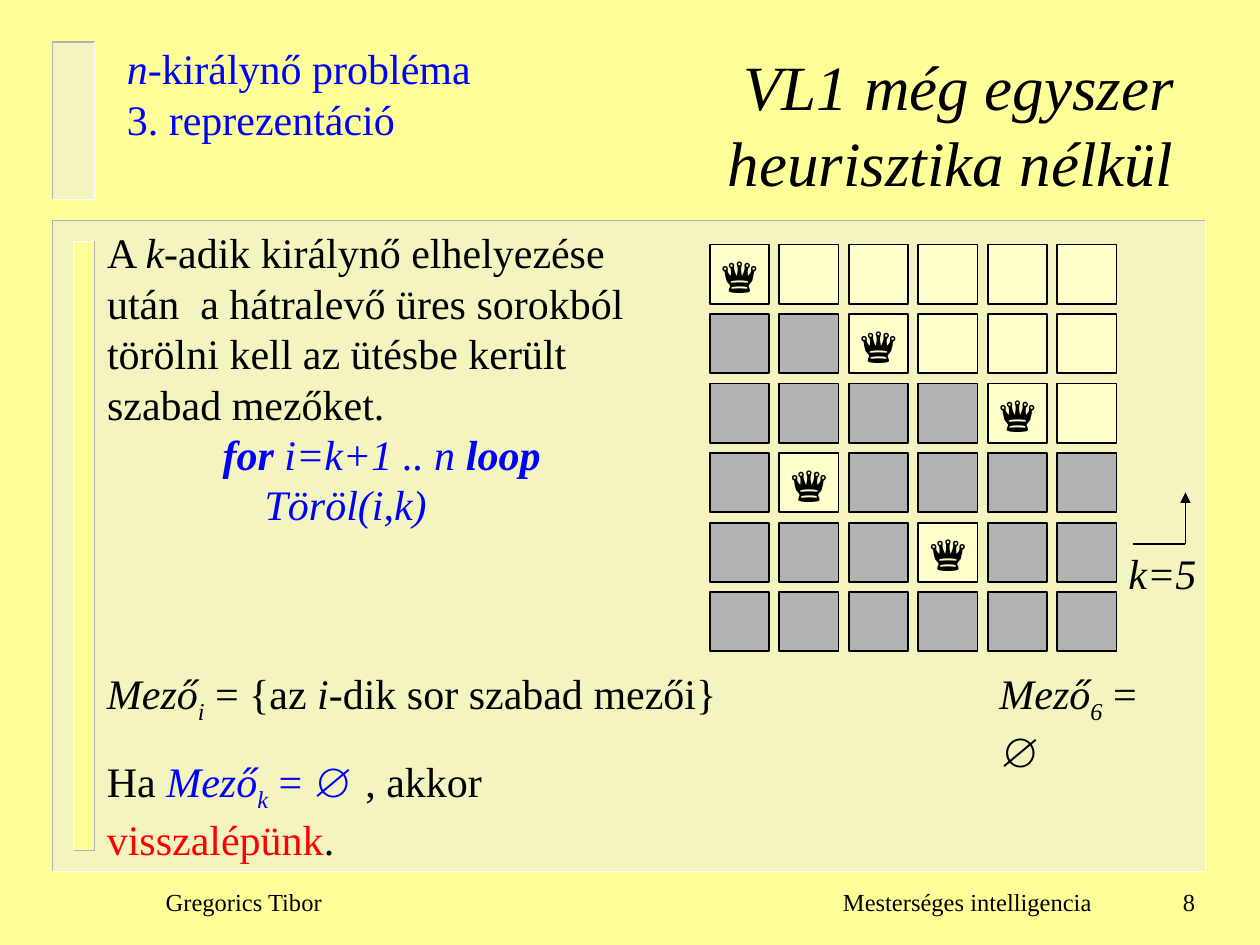
from lxml import etree
from pptx import Presentation
from pptx.dml import color
from pptx.enum import shapes, text
from pptx.oxml import ns
from pptx import util as u

# Page grid: 120 columns by 90 rows, one unit is a twelfth of an inch
UNIT = u.Inches(1) // 12
COLUMNS, ROWS = 120, 90
FONT = "Times New Roman"
COLOURS = {
    "page": "FFFF99", "panel": "EAEAEA", "shade": "B2B2B2", "glow": "FFFFFF",
    "free": "FFFFCC", "struck": "B2B2B2", "black": "000000",
    "blue": "0000FF", "red": "FF0000",
}
STYLES = {
    "plain": {}, "italic": {"italic": True},
    "strong": {"italic": True, "bold": True},
    "sub": {"italic": True},
}
QUEENS = [0, 2, 4, 1, 3]  # column of the queen in each filled row
BOARD_SIZE, BOARD_LEFT, BOARD_TOP = 6, 67.6, 23.3
PITCH, CELL = 6.62, 5.64


def grid(*values):
    return [u.Emu(round(value * UNIT)) for value in values]


def rgb(name):
    return color.RGBColor.from_string(COLOURS[name])


def set_all(target, values):
    for name, value in values.items():
        setattr(target, name, value)


def write(box, lines, size=24, align="LEFT", anchor="TOP", wrap=True):
    """Fill a box with lines of (indent, spans); a span is text, style, colour."""
    frame = box.text_frame
    set_all(frame, {"word_wrap": wrap, "auto_size": text.MSO_AUTO_SIZE.NONE,
                    "vertical_anchor": text.MSO_ANCHOR[anchor]})
    for number, (indent, spans) in enumerate(lines):
        para = frame.add_paragraph() if number else frame.paragraphs[0]
        set_all(para, {"alignment": text.PP_ALIGN[align],
                       "space_before": u.Pt(0)})
        properties = para._p.get_or_add_pPr()
        properties.set("marL", str(grid(indent)[0]))
        properties.set("indent", "0")
        etree.SubElement(properties, ns.qn("a:buNone"))
        for words, style, colour in spans:
            span = para.add_run()
            span.text = words
            set_all(span.font, {"name": FONT, "size": u.Pt(size),
                                "bold": False, "italic": False})
            set_all(span.font, STYLES[style])
            span.font.color.rgb = rgb(colour)
            if style == "sub":
                span._r.get_or_add_rPr().set("baseline", "-25000")


def add_text(page, area, lines, **options):
    box = page.shapes.add_textbox(*grid(*area))
    write(box, lines, **options)
    return box


def fill_placeholder(box, area, lines, **options):
    set_all(box, dict(zip(("left", "top", "width", "height"), grid(*area))))
    write(box, lines, **options)


def add_rect(page, area, fill, line=None):
    rect = page.shapes.add_shape(shapes.MSO_SHAPE.RECTANGLE, *grid(*area))
    rect.shadow.inherit = False
    rect.fill.solid()
    rect.fill.fore_color.rgb = rgb(fill)
    if line:
        rect.line.color.rgb = rgb(line)
        rect.line.width = u.Pt(1)
    else:
        rect.line.fill.background()
    return rect


def add_edge(page, points, colour):
    builder = page.shapes.build_freeform(*grid(*points[0]))
    builder.add_line_segments([grid(*point) for point in points[1:]],
                              close=False)
    edge = builder.convert_to_shape()
    edge.shadow.inherit = False
    edge.fill.background()
    edge.line.color.rgb = rgb(colour)
    edge.line.width = u.Pt(1)


def add_panel(page, area, fill, sunken=True):
    """A rectangle with a bevel: two L-shaped edges, one dark and one light."""
    left, top, width, height = area
    right, bottom = left + width, top + height
    rect = add_rect(page, area, fill)
    if sunken:
        solid = rect.fill._xPr.find(ns.qn("a:solidFill"))
        etree.SubElement(solid[0], ns.qn("a:alpha"), val="50000")
        start, end = (right, top), (left, bottom)
        dark, light = (left, top), (right, bottom)
    else:
        start, end = (left, bottom), (right, top)
        dark, light = (right, bottom), (left, top)
    add_edge(page, [start, dark, end], "shade")
    add_edge(page, [start, light, end], "glow")


def add_line(page, start, end, arrow=False):
    line = page.shapes.add_connector(shapes.MSO_CONNECTOR.STRAIGHT,
                                     *grid(*start, *end))
    line.line.color.rgb = rgb("black")
    line.line.width = u.Pt(0.75)
    if arrow:
        etree.SubElement(line.line._get_or_add_ln(), ns.qn("a:tailEnd"),
                         type="triangle")
    etree.SubElement(line._element.spPr, ns.qn("a:effectLst"))


def add_board(page):
    for row in range(BOARD_SIZE):
        for column in range(BOARD_SIZE):
            queen = QUEENS[row:row + 1] == [column]
            free = queen or column >= 2 * row
            area = (BOARD_LEFT + column * PITCH, BOARD_TOP + row * PITCH,
                    CELL, CELL)
            cell = add_rect(page, area, "free" if free else "struck", "black")
            if queen:
                write(cell, [(0, [("♛", "plain", "black")])], size=28,
                      align="CENTER", anchor="MIDDLE", wrap=False)


def add_footer(page):
    for left, width, words, align in (
            (14.6, 20, "Gregorics Tibor", "LEFT"),
            (79.1, 27, "Mesterséges intelligencia", "LEFT"),
            (106, 9, "8", "RIGHT")):
        add_text(page, (left, 82.9, width, 6), [(0, [(words, "plain", "black")])],
                 size=14, align=align, anchor="MIDDLE")


def main():
    deck = Presentation()
    deck.slide_width, deck.slide_height = grid(COLUMNS, ROWS)
    page = deck.slides.add_slide(deck.slide_layouts[1])
    page.background.fill.solid()
    page.background.fill.fore_color.rgb = rgb("page")
    title, body = page.placeholders

    # Bevelled panels, behind the text
    add_panel(page, (5, 21, 109.8, 62), "panel")
    add_panel(page, (7, 23, 2, 58), "page", sunken=False)
    add_panel(page, (5, 4, 4, 15), "panel")
    for placeholder in (title, body):
        page.shapes._spTree.append(placeholder._element)

    # Title and topic
    fill_placeholder(title, (11, 4.5, 102, 14.5), [
        (0, [("VL1 még egyszer", "italic", "black")]),
        (0, [("heurisztika nélkül", "italic", "black")]),
    ], size=36, align="RIGHT", anchor="MIDDLE")
    add_text(page, (10.9, 3.5, 41.2, 10.9), [
        (0, [("n", "italic", "blue"), ("-királynő probléma", "plain", "blue")]),
        (0, [("3. reprezentáció", "plain", "blue")]),
    ])

    # Rule and its loop
    fill_placeholder(body, (9, 21, 55.7, 30.2), [
        (0, [("A ", "plain", "black"), ("k", "italic", "black"),
             ("-adik királynő elhelyezése után  a hátralevő üres sorokból "
              "törölni kell az ütésbe került szabad mezőket.",
              "plain", "black")]),
        (11, [("for ", "strong", "blue"), ("i=k+1 .. n ", "italic", "blue"),
              ("loop", "strong", "blue")]),
        (15, [("Töröl(i,k)", "italic", "blue")]),
    ])

    # Board with the current row marked
    add_board(page)
    add_line(page, (107.9, 51.8), (112.9, 51.8))
    add_line(page, (112.9, 51.8), (112.9, 46.9), arrow=True)
    add_text(page, (106.3, 51.6, 8.9, 6), [(0, [("k=5", "italic", "black")])],
             wrap=False)

    # Definitions of the free fields
    add_text(page, (9, 63, 61.1, 6), [
        (0, [("Mező", "italic", "black"), ("i", "sub", "black"),
             (" = {az ", "plain", "black"), ("i", "italic", "black"),
             ("-dik sor szabad mezői}", "plain", "black")]),
    ], wrap=False)
    sixth = add_text(page, (94, 63, 19.3, 6), [
        (0, [("Mező", "italic", "black"), ("6", "sub", "black"),
             (" = ∅", "plain", "black")]),
    ])
    backtrack = add_text(page, (9, 71.4, 60, 6), [
        (0, [("Ha ", "plain", "black"), ("Mező", "italic", "blue"),
             ("k", "sub", "blue"), (" = ∅ ", "plain", "blue"),
             (", akkor ", "plain", "black"), ("visszalépünk", "plain", "red"),
             (".", "plain", "black")]),
    ])
    for box, inset in ((sixth, 4), (backtrack, 10)):
        box.text_frame.margin_right = grid(inset)[0]

    add_footer(page)
    deck.save("out.pptx")


if __name__ == "__main__":
    main()
